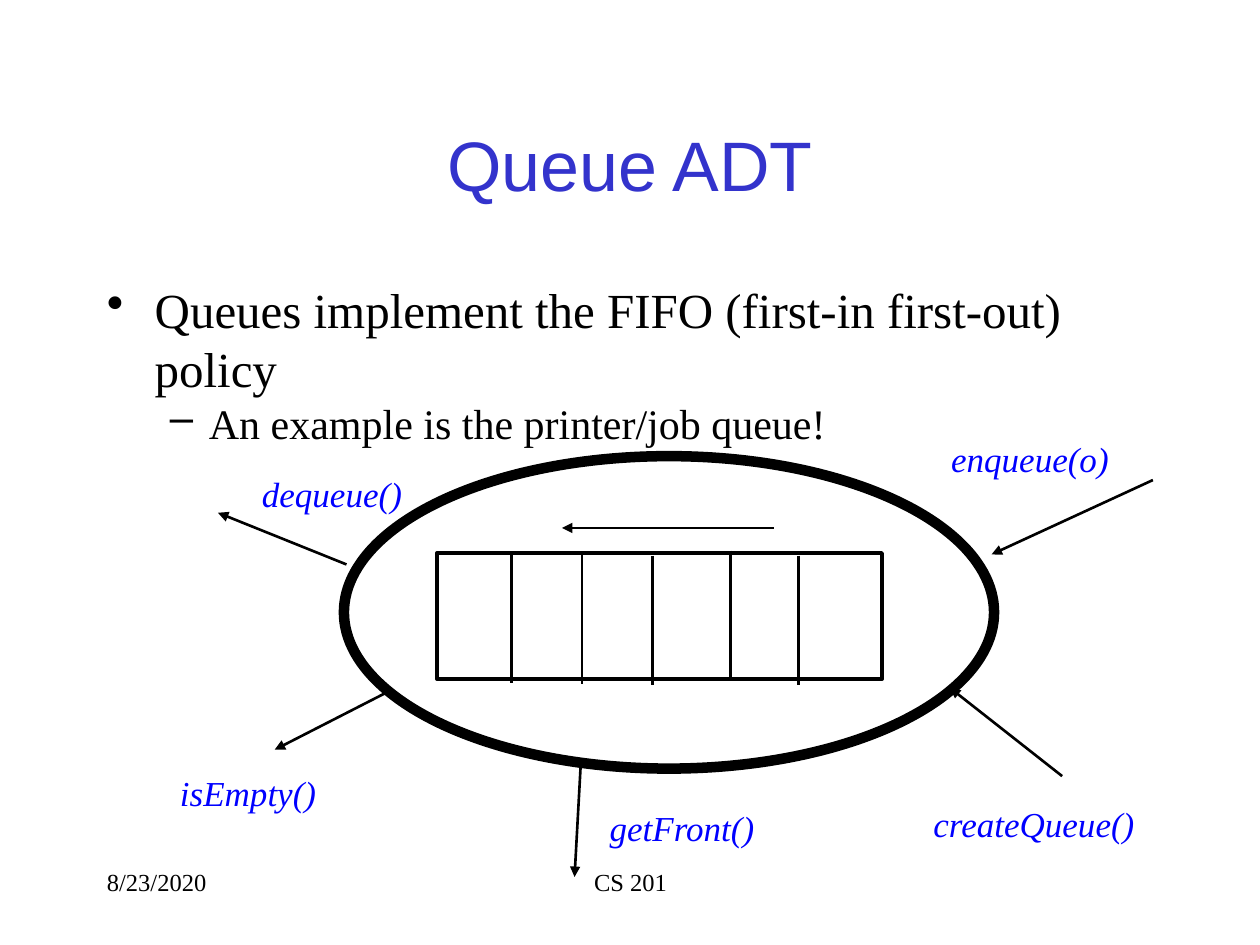
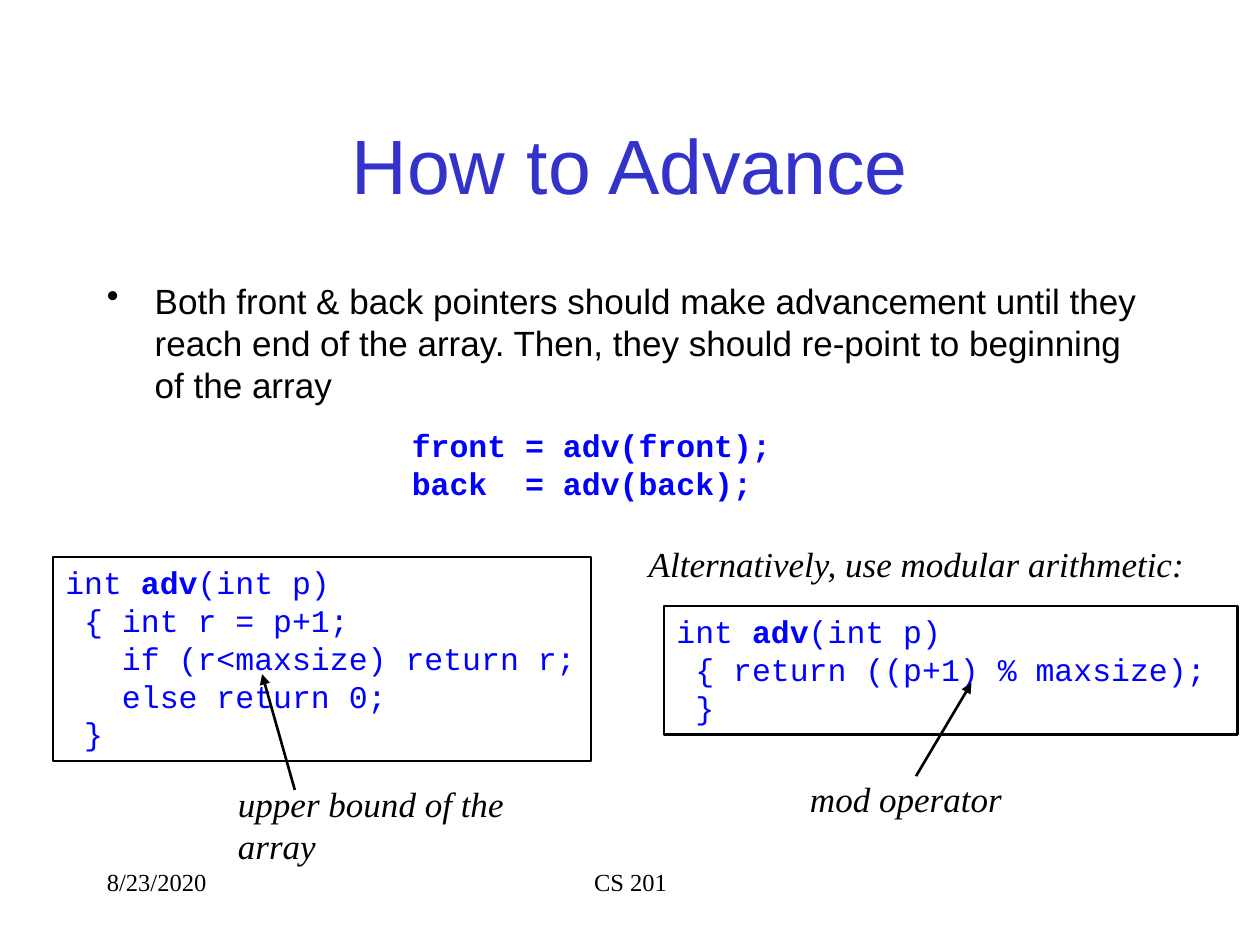
import pptx
import pptx.util
import pptx.dml.color
import pptx.enum.shapes
import pptx.enum.text
from lxml import etree
from pptx.oxml.ns import qn

Inches = pptx.util.Inches
SHAPE = pptx.enum.shapes.MSO_SHAPE
ALIGN = pptx.enum.text.PP_ALIGN
ANCHOR = pptx.enum.text.MSO_ANCHOR

BLACK, BLUE, INDIGO = "000000", "0000FF", "3333CC"
SERIF, SANS, MONO = "Times New Roman", "Arial", "Courier New"

FOOTER = {"name": SERIF, "size": 14, "color": BLACK}
TITLE = {"name": SANS, "size": 40, "color": INDIGO}
BODY = {"name": SERIF, "size": 28, "color": BLACK}
NOTE = {"name": SERIF, "size": 20, "color": BLACK, "italic": True}
OPERATION = {**NOTE, "color": BLUE}
CODE = {"name": MONO, "size": 18, "color": BLUE}

BULLETS = [("•", 0.38, 0.38), ("–", 0.81, 0.31)]  # mark, margin, hanging


def rgb(hex_color):
    return pptx.dml.color.RGBColor.from_string(hex_color)


def set_font(font, fmt):
    for key, value in fmt.items():
        if key == "color":
            font.color.rgb = rgb(value)
        else:
            setattr(font, key, pptx.util.Pt(value) if key == "size" else value)


def write(tf, paragraphs, fmt, align=ALIGN.LEFT):
    """Fill a frame; a paragraph is a string or a list of (text, bold) runs."""
    for i, runs in enumerate(paragraphs):
        p = tf.paragraphs[0] if i == 0 else tf.add_paragraph()
        p.alignment = align
        if isinstance(runs, str):
            runs = [(runs, fmt.get("bold", False))]
        for text, bold in runs:
            r = p.add_run()
            r.text = text
            set_font(r.font, {**fmt, "bold": bold})


def add_text(s, box, paragraphs, fmt, align=ALIGN.LEFT, anchor=ANCHOR.TOP, wrap=True):
    tf = s.shapes.add_textbox(*map(Inches, box)).text_frame
    tf.word_wrap = wrap
    tf.vertical_anchor = anchor
    write(tf, paragraphs, fmt, align)
    return tf


def add_label(s, left, top, width, text, fmt):
    add_text(s, (left, top, width, 0.43), [text], fmt, wrap=False)


def add_body(s, items):
    """Add bulleted items given as (text, level, format)."""
    tf = add_text(s, (0.75, 2.17, 8.5, 4.5), [], BODY)
    for i, (text, level, fmt) in enumerate(items):
        p = tf.paragraphs[0] if i == 0 else tf.add_paragraph()
        mark, margin, hanging = BULLETS[level]
        p.level = level
        pPr = p._p.get_or_add_pPr()
        pPr.set("marL", str(Inches(margin)))
        pPr.set("indent", str(-Inches(hanging)))
        etree.SubElement(pPr, qn("a:buChar")).set("char", mark)
        r = p.add_run()
        r.text = text
        set_font(r.font, fmt)


def add_outline(s, kind, box, weight):
    sp = s.shapes.add_shape(kind, *map(Inches, box))
    sp.shadow.inherit = False
    sp.fill.background()
    sp.line.color.rgb = rgb(BLACK)
    sp.line.width = pptx.util.Pt(weight)
    return sp


def add_code_box(s, box, lines):
    tf = add_outline(s, SHAPE.RECTANGLE, box, 1.5).text_frame
    tf.word_wrap = True
    tf.vertical_anchor = ANCHOR.TOP
    write(tf, [[("int ", False), ("adv", True), ("(int p)", False)], *lines], CODE)


def add_line(s, x1, y1, x2, y2, arrow=False):
    ends = map(Inches, (x1, y1, x2, y2))
    line = s.shapes.add_connector(pptx.enum.shapes.MSO_CONNECTOR.STRAIGHT, *ends)
    line.line.color.rgb = rgb(BLACK)
    line.line.width = pptx.util.Pt(1.5)
    if arrow:
        ln = line.line._get_or_add_ln()
        etree.SubElement(ln, qn("a:tailEnd")).set("type", "triangle")
    etree.SubElement(line._element.spPr, qn("a:effectLst"))


def add_slide(prs, title, size):
    """Add a slide with the shared title and footers."""
    s = prs.slides.add_slide(prs.slide_layouts[6])
    add_text(s, (0.75, 6.83, 2.08, 0.5), ["8/23/2020"], FOOTER)
    add_text(s, (3.42, 6.83, 3.17, 0.5), ["CS 201"], FOOTER, ALIGN.CENTER)
    add_text(s, (0.75, 0.67, 8.5, 1.25), [title], {**TITLE, "size": size},
             ALIGN.CENTER, ANCHOR.MIDDLE)
    return s


def build_queue_adt(prs):
    s = add_slide(prs, "Queue ADT", 40)
    add_body(s, [
        ("Queues implement the FIFO (first-in first-out) policy", 0, BODY),
        ("An example is the printer/job queue!", 1, {**BODY, "size": 24}),
    ])
    add_outline(s, SHAPE.OVAL, (2.73, 3.62, 5.16, 2.48), 6)
    operations = [
        ("enqueue(o)", (7.45, 3.42, 1.45), (9.15, 3.81, 7.87, 4.4)),
        ("dequeue()", (1.98, 3.7, 1.31), (2.75, 4.48, 1.73, 4.07)),
        ("isEmpty()", (1.33, 6.07, 1.28), (3.06, 5.5, 2.18, 5.95)),
        ("getFront()", (4.74, 6.35, 1.36), (4.61, 6.05, 4.56, 6.96)),
        ("createQueue()", (7.31, 6.32, 1.8), (8.43, 6.16, 7.54, 5.46)),
    ]
    for name, place, arrow in operations:
        add_label(s, *place, name, OPERATION)
        add_line(s, *arrow, arrow=True)

    add_outline(s, SHAPE.RECTANGLE, (3.47, 4.39, 3.53, 1), 2.25)
    dividers = [(4.06, 4.39), (4.62, 4.4), (5.18, 4.41), (5.8, 4.37), (6.34, 4.41)]
    for x, top in dividers:
        add_line(s, x, top, x, top + 1.03)
    add_line(s, 6.14, 4.19, 4.46, 4.19, arrow=True)


def build_how_to_advance(prs):
    s = add_slide(prs, "How to Advance", 44)
    add_body(s, [(
        "Both front & back pointers should make advancement until they reach end "
        "of the array. Then, they should re-point to beginning of the array",
        0, {**BODY, "name": SANS, "size": 20},
    )])
    add_text(s, (3.17, 3.33, 3.14, 0.7),
             ["front = adv(front);", "back  = adv(back);"], {**CODE, "bold": True})

    add_code_box(s, (5.27, 4.81, 4.55, 1.02),
                 [" { return ((p+1) % maxsize);", " }"])
    add_label(s, 5.05, 4.26, 4.45, "Alternatively, use modular arithmetic:", NOTE)
    add_line(s, 7.27, 6.16, 7.71, 5.42, arrow=True)
    add_label(s, 6.33, 6.12, 1.72, "mod operator", NOTE)

    add_code_box(s, (0.42, 4.42, 4.27, 1.62), [
        " { int r = p+1;",
        "   if (r<maxsize) return r;",
        "   else return 0;",
        " }",
    ])
    add_text(s, (1.79, 6.16, 2.5, 0.76), ["upper bound of the array"], NOTE)
    add_line(s, 2.34, 6.27, 2.08, 5.35, arrow=True)


def main():
    prs = pptx.Presentation()
    prs.slide_width, prs.slide_height = Inches(10), Inches(7.5)
    build_queue_adt(prs)
    build_how_to_advance(prs)
    prs.save("out.pptx")


if __name__ == "__main__":
    main()
